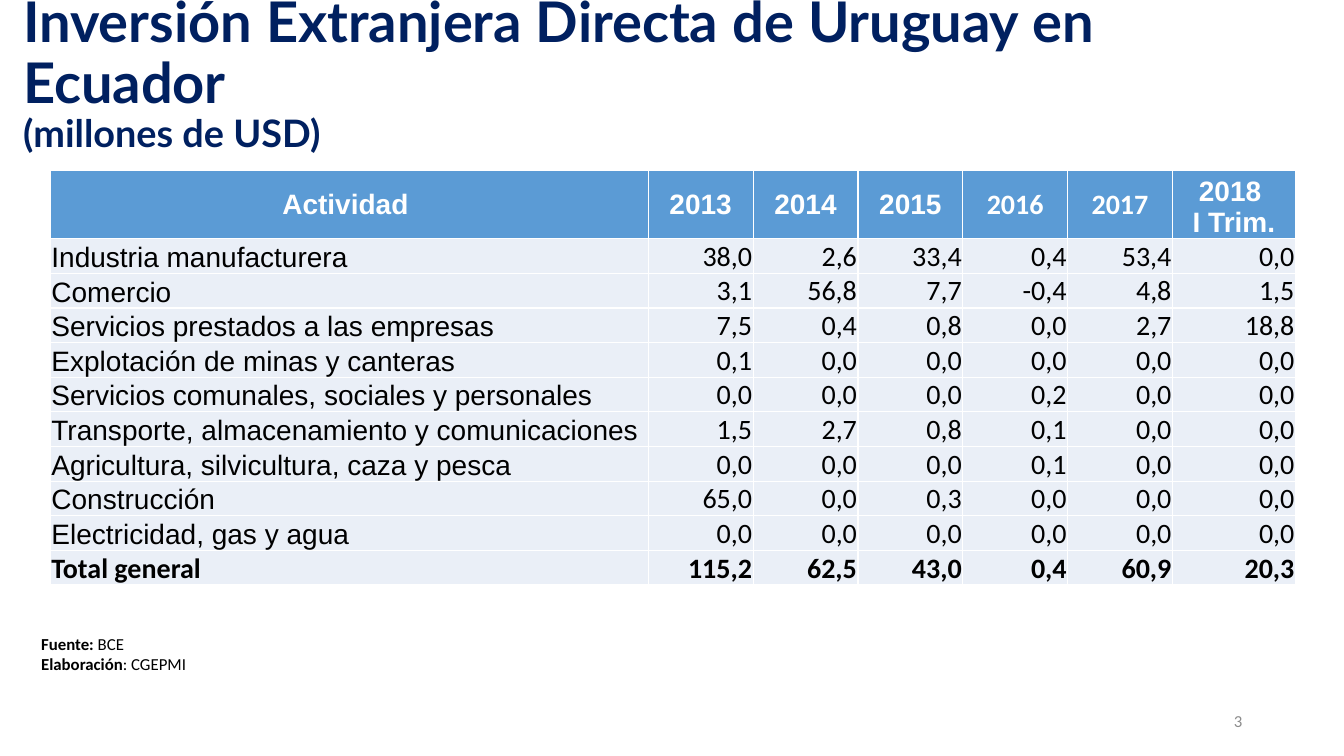
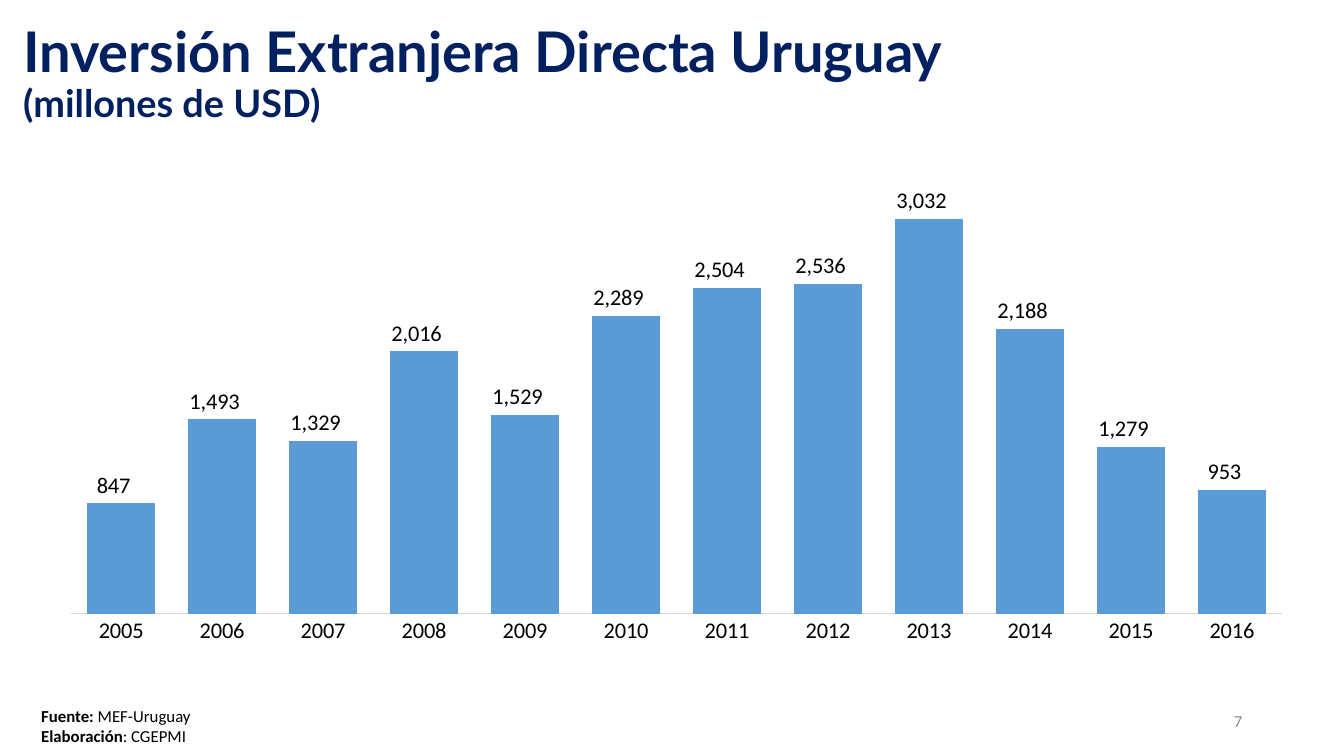
from lxml import etree
from pptx import Presentation
from pptx.chart.data import CategoryChartData
from pptx.dml.color import RGBColor
from pptx.enum.chart import XL_CHART_TYPE, XL_LABEL_POSITION, XL_TICK_MARK
from pptx.enum.text import MSO_ANCHOR, MSO_AUTO_SIZE, PP_ALIGN
from pptx.oxml import parse_xml
from pptx.oxml.ns import nsdecls, qn
from pptx.util import Inches, Pt

NAVY = RGBColor(0x00, 0x20, 0x60)
BLUE = RGBColor(0x5B, 0x9B, 0xD5)
PALE = RGBColor(0xEA, 0xEF, 0xF7)
WHITE = RGBColor(0xFF, 0xFF, 0xFF)
BLACK = RGBColor(0x00, 0x00, 0x00)
GREY = RGBColor(0x8C, 0x8C, 0x8C)
RULE = RGBColor(0xD9, 0xD9, 0xD9)

LEFT, CENTER, RIGHT = PP_ALIGN.LEFT, PP_ALIGN.CENTER, PP_ALIGN.RIGHT
JUSTIFY = PP_ALIGN.JUSTIFY
MIDDLE, BOTTOM = MSO_ANCHOR.MIDDLE, MSO_ANCHOR.BOTTOM
NO_FIT = MSO_AUTO_SIZE.NONE
COLUMN = XL_CHART_TYPE.COLUMN_CLUSTERED
OUTSIDE_END = XL_LABEL_POSITION.OUTSIDE_END
NO_TICK = XL_TICK_MARK.NONE

TITLE_ONLY = 5
TITLE_BOX = (0.13, 0.02, 10.82, 1.45)
NUMBER_BOX = (9.42, 6.95, 3, 0.4)
SUBTITLE = "(millones de USD)"
LABEL_FORMAT = '_-* #,##0\\ _€_-;\\-* #,##0\\ _€_-;_-* "-"?'

COLUMN_WIDTHS = [5.93] + [1.04] * 5 + [1.22]
HEADER_HEIGHT, ROW_HEIGHT = 0.67, 0.34
HEADERS = ["Actividad ", "2013", "2014", "2015", "2016", "2017", "2018 \nI Trim."]
CALIBRI_HEADERS = ("2016", "2017")
TOTAL = "Total general"
ACTIVITIES = [
    ("Industria manufacturera", "38,0 2,6 33,4 0,4 53,4 0,0"),
    ("Comercio", "3,1 56,8 7,7 -0,4 4,8 1,5"),
    ("Servicios prestados a las empresas", "7,5 0,4 0,8 0,0 2,7 18,8"),
    ("Explotación de minas y canteras", "0,1 0,0 0,0 0,0 0,0 0,0"),
    ("Servicios comunales, sociales y personales", "0,0 0,0 0,0 0,2 0,0 0,0"),
    ("Transporte, almacenamiento y comunicaciones", "1,5 2,7 0,8 0,1 0,0 0,0"),
    ("Agricultura, silvicultura, caza y pesca", "0,0 0,0 0,0 0,1 0,0 0,0"),
    ("Construcción", "65,0 0,0 0,3 0,0 0,0 0,0"),
    ("Electricidad, gas y agua", "0,0 0,0 0,0 0,0 0,0 0,0"),
    (TOTAL, "115,2 62,5 43,0 0,4 60,9 20,3"),
]
YEARS = [str(year) for year in range(2005, 2017)]
INVESTMENT = [847, 1493, 1329, 2016, 1529, 2289, 2504, 2536, 3032, 2188, 1279, 953]


def inches(box):
    return [Inches(length) for length in box]


def add_span(para, text, *, size=12, font="Calibri", color=BLACK, bold=False):
    span = para.add_run()
    span.text = text
    span.font.size = Pt(size)
    span.font.name = font
    span.font.color.rgb = color
    span.font.bold = bold


def add_text_box(page, box):
    frame = page.shapes.add_textbox(*inches(box)).text_frame
    frame.word_wrap = True
    return frame


def add_title(page, box, heading, align):
    title = page.shapes.title
    title.left, title.top, title.width, title.height = inches(box)
    frame = title.text_frame
    frame.auto_size = NO_FIT
    frame.word_wrap = True
    frame.vertical_anchor = MIDDLE
    para = frame.paragraphs[0]
    para.alignment = align
    para.line_spacing = 0.9
    add_span(para, heading, size=40, font="Lato", color=NAVY, bold=True)
    para.add_line_break()
    add_span(para, SUBTITLE, size=27, font="Lato", color=NAVY, bold=True)


def add_credits(page, box, source):
    frame = add_text_box(page, box)
    para = frame.paragraphs[0]
    add_span(para, "Fuente: ", bold=True)
    add_span(para, source)
    para = frame.add_paragraph()
    add_span(para, "Elaboración", bold=True)
    add_span(para, ": CGEPMI")


def add_number(page, box, number):
    frame = add_text_box(page, box)
    frame.vertical_anchor = MIDDLE
    para = frame.paragraphs[0]
    para.alignment = RIGHT
    add_span(para, str(number), color=GREY)


def add_page(deck, heading, *, align, source, credits_box, number):
    page = deck.slides.add_slide(deck.slide_layouts[TITLE_ONLY])
    add_title(page, TITLE_BOX, heading, align)
    add_credits(page, credits_box, source)
    add_number(page, NUMBER_BOX, number)
    return page


def add_borders(cell):
    properties = cell._tc.get_or_add_tcPr()
    for side in ("lnL", "lnR", "lnT", "lnB"):
        properties.append(parse_xml(
            f'<a:{side} {nsdecls("a")} w="12700"><a:solidFill>'
            f'<a:srgbClr val="{WHITE}"/></a:solidFill></a:{side}>'))


def fill_cell(cell, text, *, fill, align, anchor=BOTTOM, **style):
    add_borders(cell)
    cell.fill.solid()
    cell.fill.fore_color.rgb = fill
    cell.margin_left = cell.margin_right = cell.margin_top = Inches(0.01)
    cell.margin_bottom = 0
    cell.vertical_anchor = anchor
    frame = cell.text_frame
    for index, line in enumerate(text.split("\n")):
        para = frame.add_paragraph() if index else frame.paragraphs[0]
        para.alignment = align
        add_span(para, line, size=20, **style)


def add_activity_table(page, box):
    table = page.shapes.add_table(
        len(ACTIVITIES) + 1, len(HEADERS), *inches(box)).table
    table.first_row = table.horz_banding = False
    for column, width in zip(table.columns, COLUMN_WIDTHS):
        column.width = Inches(width)
    for index, row in enumerate(table.rows):
        row.height = Inches(ROW_HEIGHT if index else HEADER_HEIGHT)
    for index, header in enumerate(HEADERS):
        fill_cell(table.cell(0, index), header, fill=BLUE, align=CENTER,
                  anchor=BOTTOM if "\n" in header else MIDDLE, color=WHITE, bold=True,
                  font="Calibri" if header in CALIBRI_HEADERS else "Arial")
    for row, (activity, amounts) in enumerate(ACTIVITIES, start=1):
        is_total = activity == TOTAL
        fill_cell(table.cell(row, 0), activity, fill=PALE, align=LEFT, bold=is_total,
                  font="Calibri" if is_total else "Arial")
        for column, amount in enumerate(amounts.split(), start=1):
            fill_cell(table.cell(row, column), amount, fill=PALE, align=RIGHT,
                      bold=is_total)


def set_plot_layout(chart, **shares):
    plot_area = chart._chartSpace.find(".//" + qn("c:plotArea"))
    for layout in plot_area.findall(qn("c:layout")):
        plot_area.remove(layout)
    layout = etree.Element(qn("c:layout"))
    manual = etree.SubElement(layout, qn("c:manualLayout"))
    settings = {"layoutTarget": "inner", "xMode": "edge", "yMode": "edge", **shares}
    for name, value in settings.items():
        etree.SubElement(manual, qn("c:" + name)).set("val", str(value))
    plot_area.insert(0, layout)


def add_investment_chart(page, box):
    data = CategoryChartData()
    data.categories = YEARS
    data.add_series("Series 1", INVESTMENT)
    chart = page.shapes.add_chart(COLUMN, *inches(box), data).chart
    chart.has_legend = chart.has_title = False
    chart.font.name = "Calibri"
    chart.font.size = Pt(16)
    chart.font.color.rgb = BLACK
    set_plot_layout(chart, x=0.02, y=0.02, w=0.96, h=0.9)

    value_axis = chart.value_axis
    value_axis.minimum_scale, value_axis.maximum_scale = 0, 3500
    value_axis.has_major_gridlines = False
    value_axis.visible = False
    category_axis = chart.category_axis
    category_axis.major_tick_mark = NO_TICK
    category_axis.format.line.color.rgb = RULE
    category_axis.format.line.width = Pt(0.75)

    plot = chart.plots[0]
    plot.gap_width = 50
    plot.vary_by_categories = False
    fill = plot.series[0].format.fill
    fill.solid()
    fill.fore_color.rgb = BLUE
    plot.has_data_labels = True
    labels = plot.data_labels
    labels.show_value = True
    labels.position = OUTSIDE_END
    labels.number_format = LABEL_FORMAT
    labels.number_format_is_linked = False
    labels.font.name = "Calibri"
    labels.font.size = Pt(16)
    labels.font.color.rgb = BLACK


def main():
    deck = Presentation()
    deck.slide_width, deck.slide_height = Inches(13.33), Inches(7.5)

    page = add_page(deck, "Inversión Extranjera Directa de Uruguay en Ecuador",
                    align=JUSTIFY, source="BCE",
                    credits_box=(0.31, 6.24, 5.69, 0.71), number=3)
    add_activity_table(page, (0.5, 1.69, 12.33, 4.11))

    page = add_page(deck, "Inversión Extranjera Directa Uruguay ",
                    align=LEFT, source="MEF-Uruguay",
                    credits_box=(0.31, 6.95, 5.69, 0.5), number=7)
    add_investment_chart(page, (0.45, 1.47, 12.52, 5.02))

    deck.save("out.pptx")


if __name__ == "__main__":
    main()
